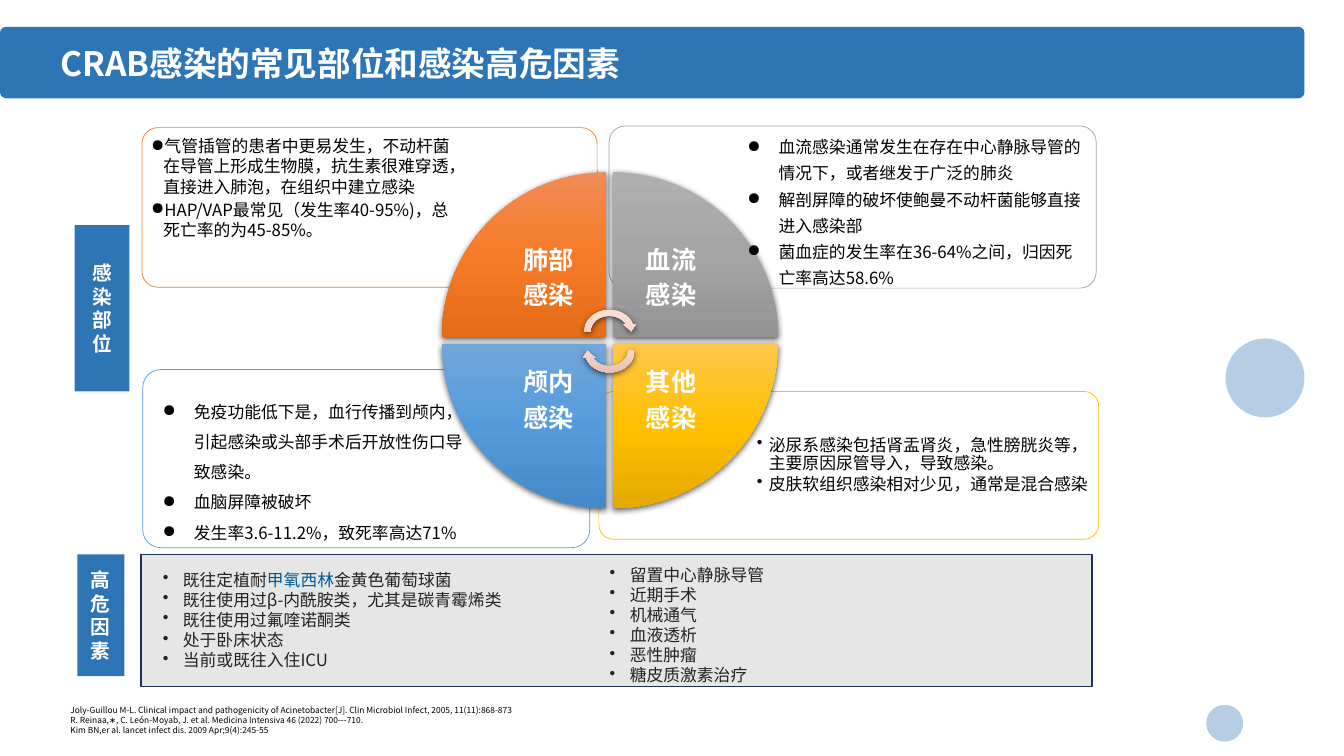
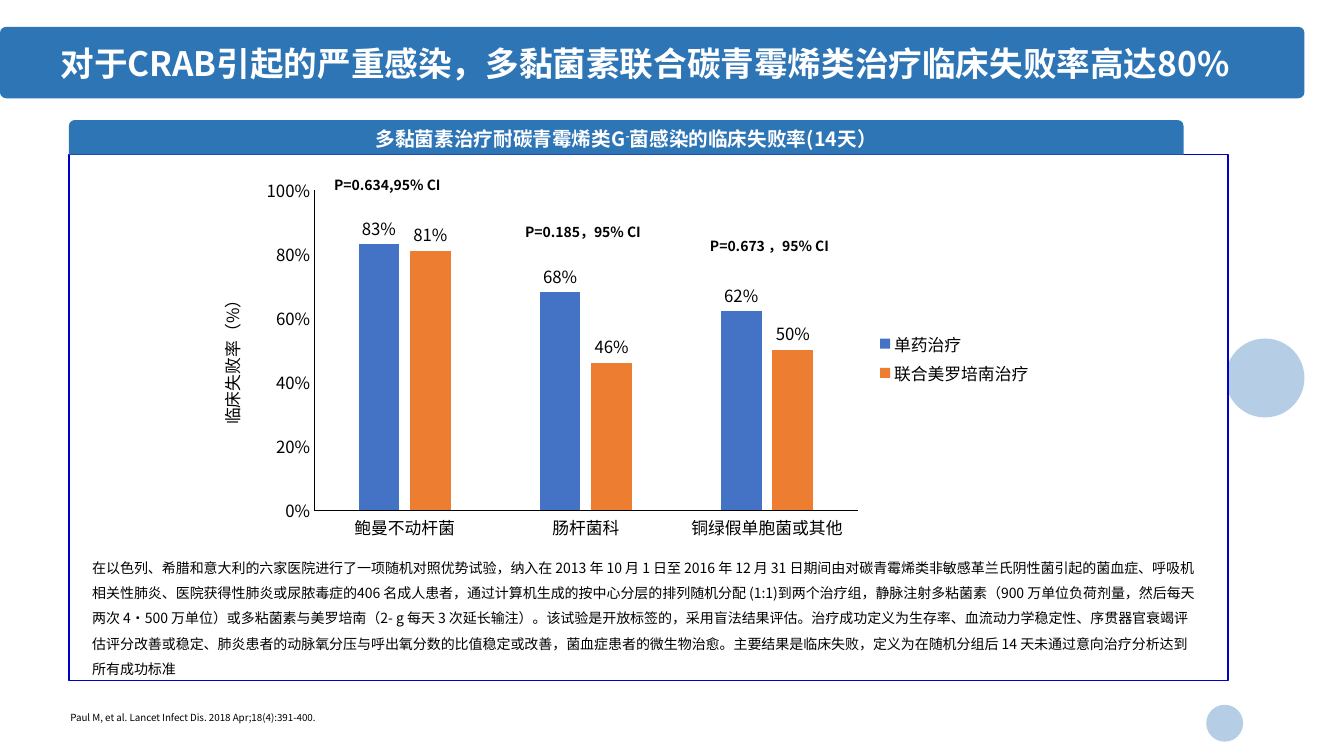
"""Two slides on CRAB infections: sites and risk factors, then treatment failure."""
from dataclasses import dataclass

from lxml import etree
from pptx import Presentation
from pptx.chart.data import CategoryChartData
from pptx.dml.color import RGBColor
from pptx.enum.chart import XL_CHART_TYPE, XL_LABEL_POSITION, XL_LEGEND_POSITION, XL_TICK_MARK
from pptx.enum.shapes import MSO_SHAPE
from pptx.enum.text import MSO_ANCHOR, PP_ALIGN
from pptx.oxml import parse_xml
from pptx.oxml.ns import nsdecls, qn
from pptx.util import Emu, Inches, Pt

RECT, ROUNDED = MSO_SHAPE.RECTANGLE, MSO_SHAPE.ROUNDED_RECTANGLE
TAB, OVAL = MSO_SHAPE.ROUND_2_SAME_RECTANGLE, MSO_SHAPE.OVAL
WEDGE, ARROW = MSO_SHAPE.PIE_WEDGE, MSO_SHAPE.CIRCULAR_ARROW
CENTER, MIDDLE = PP_ALIGN.CENTER, MSO_ANCHOR.MIDDLE
COLUMNS = XL_CHART_TYPE.COLUMN_CLUSTERED
OUTSIDE, RIGHT, NO_TICK = XL_LABEL_POSITION.OUTSIDE_END, XL_LEGEND_POSITION.RIGHT, XL_TICK_MARK.NONE

GRID_COLUMNS, GRID_ROWS = 160, 90
CELL = Inches(1 / 12)


@dataclass(frozen=True)
class Theme:
    """Colours, font and type sizes of the deck."""
    font: str = "Noto Sans CJK SC"
    brand: str = "2E75B6"
    white: str = "FFFFFF"
    black: str = "000000"
    ink: str = "232323"
    link: str = "005B93"
    panel: str = "E7E6E6"
    panel_edge: str = "1E3256"
    frame_edge: str = "0000C9"
    lung: str = "ED7D31"
    blood: str = "A5A5A5"
    brain: str = "5B9BD5"
    other: str = "FFC000"
    bars: tuple = ("4472C4", "ED7D31")
    arrow_fade: tuple = ("FAE0D8", "FAD6CB", "E2BCB1")
    title: int = 24
    wedge: int = 18
    heading: int = 14
    body: int = 12
    note: int = 10
    source: int = 7
    references: int = 6


THEME = Theme()
TIGHT = dict.fromkeys(("margin_left", "margin_top", "margin_right", "margin_bottom"), Inches(0.05))
FLUSH = dict.fromkeys(TIGHT, 0)
WEDGE_INSET = dict.fromkeys(TIGHT, Inches(0.14))

CARDS = [
    (THEME.other, (71.3, 46.6, 59.5, 17.6)),
    (THEME.brain, (17, 44, 53.2, 21.2)),
    (THEME.blood, (72.5, 15, 58, 19.3)),
    (THEME.lung, (16.9, 15.2, 54.2, 19)),
]
WEDGES = [
    (0, 0, "肺部", ("F18C57", "F67B28", "E56C19")),
    (1, 0, "血流", ("AFAFAF", "A5A5A5", "939393")),
    (1, 1, "其他", ("FFC64B", "FFC000", "E3AB00")),
    (0, 1, "颅内", ("71A6DB", "559BDB", "448ACA")),
]
SITE_NOTES = [
    ((17.4, 15.6, 37.2, 13.4), "●", 0.12, {"space_after": Pt(2)}, TIGHT, [
        "气管插管的患者中更易发生，不动杆菌在导管上形成生物膜，抗生素很难穿透，直接进入肺泡，在组织中建立感染",
        "HAP/VAP最常见（发生率40-95%)，总死亡率的为45-85%。"]),
    ((87.8, 15, 42.1, 19.8), "●", 0.31, {"line_spacing": 1.3}, {}, [
        "血流感染通常发生在存在中心静脉导管的情况下，或者继发于广泛的肺炎",
        "解剖屏障的破坏使鲍曼不动杆菌能够直接进入感染部",
        "菌血症的发生率在36-64%之间，归因死亡率高达58.6%"]),
    ((18.2, 46, 39.8, 19), "●", 0.31, {"line_spacing": 1.5}, {}, [
        "免疫功能低下是，血行传播到颅内，引起感染或头部手术后开放性伤口导致感染。",
        "血脑屏障被破坏",
        "发生率3.6-11.2%，致死率高达71%"]),
    ((89.5, 51.4, 40.9, 12.5), "•", 0.12, {"line_spacing": 0.9, "space_after": Pt(2)}, TIGHT, [
        "泌尿系感染包括肾盂肾炎，急性膀胱炎等，主要原因尿管导入，导致感染。",
        "皮肤软组织感染相对少见，通常是混合感染"]),
]
RISKS = [
    ((18.2, 67.2, 49.8, 13.3), [
        [("既往定植耐", {}), ("甲氧西林", {"color": THEME.link}), ("⾦黄⾊葡萄球菌", {})],
        "既往使⽤过β-内酰胺类，尤其是碳青霉烯类", "既往使⽤过氟喹诺酮类",
        "处于卧床状态", "当前或既往⼊住ICU"]),
    ((71.4, 66.6, 52.3, 15.7), [
        "留置中⼼静脉导管", "近期⼿术", "机械通⽓", "⾎液透析", "恶性肿瘤", "糖⽪质激素治疗"]),
]
SIDE_TABS = [("感染部位", (8.9, 26.8, 6.5, 19.8)), ("高危因素", (9.2, 66, 5.6, 14.5))]
REFERENCES = [
    "Joly-Guillou M-L. Clinical impact and pathogenicity of Acinetobacter[J]. "
    "Clin Microbiol Infect, 2005, 11(11):868-873",
    "R. Reinaa,∗, C. León-Moyab, J. et al. Medicina Intensiva 46 (2022) 700---710.",
    "Kim BN,er al. lancet infect dis. 2009 Apr;9(4):245-55",
]
PATHOGENS = ["鲍曼不动杆菌", "肠杆菌科", "铜绿假单胞菌或其他"]
FAILURE_RATES = [("单药治疗", (0.83, 0.68, 0.62)), ("联合美罗培南治疗", (0.81, 0.46, 0.5))]
P_VALUES = [
    ("P=0.634,95% CI", 36.3, 20.4),
    ("P=0.185，95% CI", 59.6, 26),
    ("P=0.673 ，95% CI", 81.8, 27.7),
]
TRIAL = (
    "在以色列、希腊和意大利的六家医院进行了一项随机对照优势试验，纳入在 2013 年 10 月 1 日至 "
    "2016 年 12 月 31 日期间由对碳青霉烯类非敏感革兰氏阴性菌引起的菌血症、呼吸机相关性肺炎、"
    "医院获得性肺炎或尿脓毒症的406 名成人患者，通过计算机生成的按中心分层的排列随机分配 (1:1)"
    "到两个治疗组，静脉注射多粘菌素（900 万单位负荷剂量，然后每天两次 4·500 万单位）或多粘菌素"
    "与美罗培南（2- g 每天 3 次延长输注）。该试验是开放标签的，采用盲法结果评估。治疗成功定义为"
    "生存率、血流动力学稳定性、序贯器官衰竭评估评分改善或稳定、肺炎患者的动脉氧分压与呼出氧分数的"
    "比值稳定或改善，菌血症患者的微生物治愈。主要结果是临床失败，定义为在随机分组后 14 天未通过"
    "意向治疗分析达到所有成功标准"
)


def place(area):
    """Turn grid columns and rows into lengths."""
    return [Emu(round(part * CELL)) for part in area]


def apply(target, values):
    """Set each named value on the target."""
    for name, value in values.items():
        setattr(target, name, value)


def style_font(font, size, color=THEME.black, bold=False):
    """Give a font the deck's typeface with a size, colour and weight."""
    apply(font, {"size": Pt(size), "bold": bold, "name": THEME.font})
    font.color.rgb = RGBColor.from_string(color)


def set_east_asian_fonts(element):
    """Use each Latin typeface for Chinese characters too."""
    for latin in list(element.iter(qn("a:latin"))):
        east_asian = etree.Element(qn("a:ea"), typeface=latin.get("typeface"))
        latin.addnext(east_asian)


def add_bullet(para, mark, indent):
    """Give a paragraph a hanging bullet."""
    settings = para._p.get_or_add_pPr()
    settings.set("marL", str(Inches(indent)))
    settings.set("indent", str(-Inches(indent)))
    etree.SubElement(settings, qn("a:buChar"), char=mark)


def write(box, paragraphs, font, para_format=None, frame_format=None, bullet=None):
    """Fill a box with paragraphs made of plain text or styled spans."""
    frame = box.text_frame
    apply(frame, {"word_wrap": True, **(frame_format or {})})
    for index, content in enumerate(paragraphs):
        para = frame.add_paragraph() if index else frame.paragraphs[0]
        if bullet:
            add_bullet(para, *bullet)
        apply(para, para_format or {})
        spans = [(content, {})] if isinstance(content, str) else content
        for text, changes in spans:
            span = para.add_run()
            span.text = text
            style = {**font, **changes}
            baseline = style.pop("baseline", None)
            style_font(span.font, **style)
            if baseline:
                span._r.get_or_add_rPr().set("baseline", baseline)


def add_text(page, area, *content, **options):
    """Add a text box and write in it."""
    write(page.shapes.add_textbox(*place(area)), *content, **options)


def add_block(page, kind, area, fill=None, edge=None, width=1, opacity=None, corner=None):
    """Add a preset shape with a flat fill and an optional outline."""
    block = page.shapes.add_shape(kind, *place(area))
    block.shadow.inherit = False
    if corner is not None:
        block.adjustments[0] = corner
    if fill:
        block.fill.solid()
        block.fill.fore_color.rgb = RGBColor.from_string(fill)
    if opacity:
        color = block.element.spPr.find(".//" + qn("a:srgbClr"))
        etree.SubElement(color, qn("a:alpha"), val=str(opacity * 1000))
    if edge:
        block.line.color.rgb = RGBColor.from_string(edge)
        block.line.width = Pt(width)
    else:
        block.line.fill.background()
    return block


def add_raised(page, kind, area, rotation, fade):
    """Add a shape with a vertical fade and a soft shadow."""
    raised = add_block(page, kind, area)
    raised.rotation = rotation
    stops = "".join(
        f'<a:gs pos="{index * 50000}"><a:srgbClr val="{color}"/></a:gs>'
        for index, color in enumerate(fade))
    settings = raised.element.spPr
    settings.insert(2, parse_xml(
        f'<a:gradFill {nsdecls("a")} rotWithShape="0"><a:gsLst>{stops}</a:gsLst>'
        '<a:lin ang="5400000" scaled="0"/></a:gradFill>'))
    settings.find(qn("a:effectLst")).append(parse_xml(
        f'<a:outerShdw {nsdecls("a")} blurRad="{Pt(4.5)}" dist="{Pt(1.5)}" dir="5400000" '
        'algn="ctr" rotWithShape="0"><a:srgbClr val="000000"><a:alpha val="63000"/>'
        '</a:srgbClr></a:outerShdw>'))


def decorate_layout(layout, page):
    """Move the title band and the dots from a page to its layout."""
    for holder in list(layout.placeholders):
        holder.element.getparent().remove(holder.element)
    parts = [add_block(page, ROUNDED, (0, 3.2, 155.3, 8.5), THEME.brand, corner=0.085)]
    for left, top, size in ((145.9, 40.3, 9.4), (143.6, 83.9, 4.4)):
        parts.append(add_block(page, OVAL, (left, top, size, size), THEME.brand, opacity=35))
    for part in parts:
        layout.shapes.element.append(part.element)


def add_title(page, text):
    """Write the page title on the band."""
    add_text(page, (7.2, 5.7, 148, 4.3), [text],
             {"size": THEME.title, "color": THEME.white, "bold": True},
             {"line_spacing": 0.9}, FLUSH)


def add_wheel(page):
    """Draw the four infection sites as a wheel with turning arrows."""
    left, top, step, size, label = 52.6, 20.5, 20.4, 19.6, 13.8
    for turn, (column, row, name, fade) in enumerate(WEDGES):
        x, y = left + column * step, top + row * step
        add_raised(page, WEDGE, (x, y, size, size), turn * 90, fade)
        inward = size - label
        add_text(page, (x + (1 - column) * inward, y + (1 - row) * inward, label, label),
                 [name, "感染"], {"size": THEME.wedge, "color": THEME.white, "bold": True},
                 {"alignment": CENTER, "line_spacing": 0.9, "space_after": Pt(6)},
                 {"vertical_anchor": MIDDLE, **WEDGE_INSET})
    for rotation, y in ((0, 36.5), (180, 38.8)):
        add_raised(page, ARROW, (69.2, y, 6.7, 5.9), rotation, THEME.arrow_fade)


def add_failure_chart(page, area):
    """Chart the failure rates by pathogen and treatment."""
    data = CategoryChartData(number_format="0%")
    data.categories = PATHOGENS
    for name, rates in FAILURE_RATES:
        data.add_series(name, rates)
    chart = page.shapes.add_chart(COLUMNS, *place(area), data).chart
    style_font(chart.font, THEME.body)
    apply(chart, {"has_title": False, "has_legend": True})
    apply(chart.legend, {"position": RIGHT, "include_in_layout": False})
    plot = chart.plots[0]
    apply(plot, {"gap_width": 219, "overlap": -27, "vary_by_categories": False,
                 "has_data_labels": True})
    apply(plot.data_labels, {"show_value": True, "position": OUTSIDE,
                             "number_format": "0%", "number_format_is_linked": False})
    for series, color in zip(plot.series, THEME.bars):
        series.format.fill.solid()
        series.format.fill.fore_color.rgb = RGBColor.from_string(color)
    rates_axis = chart.value_axis
    for axis in (chart.category_axis, rates_axis):
        apply(axis, {"major_tick_mark": NO_TICK, "has_major_gridlines": False})
        axis.format.line.color.rgb = RGBColor.from_string(THEME.black)
        axis.format.line.width = Pt(0.75)
    apply(rates_axis, {"minimum_scale": 0, "maximum_scale": 1, "major_unit": 0.2})
    apply(rates_axis.tick_labels, {"number_format": "0%", "number_format_is_linked": False})
    write(rates_axis.axis_title, ["临床失败率（%）"], {"size": THEME.body})
    set_east_asian_fonts(chart.element)


def build_sites(page):
    """Build the page on infection sites and risk factors."""
    add_title(page, "CRAB感染的常见部位和感染高危因素")
    add_block(page, RECT, (16.8, 66, 113.2, 15.7), THEME.panel, THEME.panel_edge)
    for edge, area in CARDS:
        add_block(page, ROUNDED, area, THEME.white, edge, 0.5, opacity=90, corner=0.1)
    add_wheel(page)
    for area, mark, indent, para_format, frame_format, notes in SITE_NOTES:
        add_text(page, area, notes, {"size": THEME.body}, para_format, frame_format, (mark, indent))
    for area, risks in RISKS:
        add_text(page, area, risks, {"size": THEME.body, "color": THEME.ink}, bullet=("•", 0.2))
    for name, area in SIDE_TABS:
        write(add_block(page, RECT, area, THEME.brand), [name],
              {"size": THEME.heading, "color": THEME.white, "bold": True},
              {"alignment": CENTER}, {"vertical_anchor": MIDDLE})
    add_text(page, (7.2, 83.3, 122.8, 4.8), REFERENCES, {"size": THEME.references})


def build_failure(page):
    """Build the page on treatment failure."""
    add_title(page, "对于CRAB引起的严重感染，多黏菌素联合碳青霉烯类治疗临床失败率高达80%")
    add_block(page, RECT, (8.2, 18.4, 138, 62.6), THEME.white, THEME.frame_edge)
    heading = [("多黏菌素治疗耐碳青霉烯类G", {}), ("-", {"baseline": "30000"}),
               ("菌感染的临床失败率(14天）", {})]
    write(add_block(page, TAB, (8.2, 14.3, 132.7, 4.1), THEME.brand), [heading],
          {"size": THEME.heading, "color": THEME.white, "bold": True},
          {"alignment": CENTER}, {"vertical_anchor": MIDDLE})
    add_failure_chart(page, (23.4, 20.2, 100.7, 44.9))
    for text, left, top in P_VALUES:
        add_text(page, (left, top, 19.6, 3.2), [text], {"size": THEME.note, "bold": True},
                 {"alignment": CENTER})
    add_text(page, (9.8, 65, 133.9, 16), [TRIAL], {"size": THEME.note}, {"line_spacing": 1.5})
    add_text(page, (7.2, 84.1, 82, 2.6),
             ["Paul M, et al. Lancet Infect Dis. 2018 Apr;18(4):391-400."], {"size": THEME.source})


def main():
    """Build and save the deck."""
    deck = Presentation()
    deck.slide_width, deck.slide_height = GRID_COLUMNS * CELL, GRID_ROWS * CELL
    layout = deck.slide_layouts[6]
    pages = [deck.slides.add_slide(layout) for _ in range(2)]
    decorate_layout(layout, pages[0])
    for build, page in zip((build_sites, build_failure), pages):
        build(page)
        set_east_asian_fonts(page.element)
    deck.save("out.pptx")


if __name__ == "__main__":
    main()
